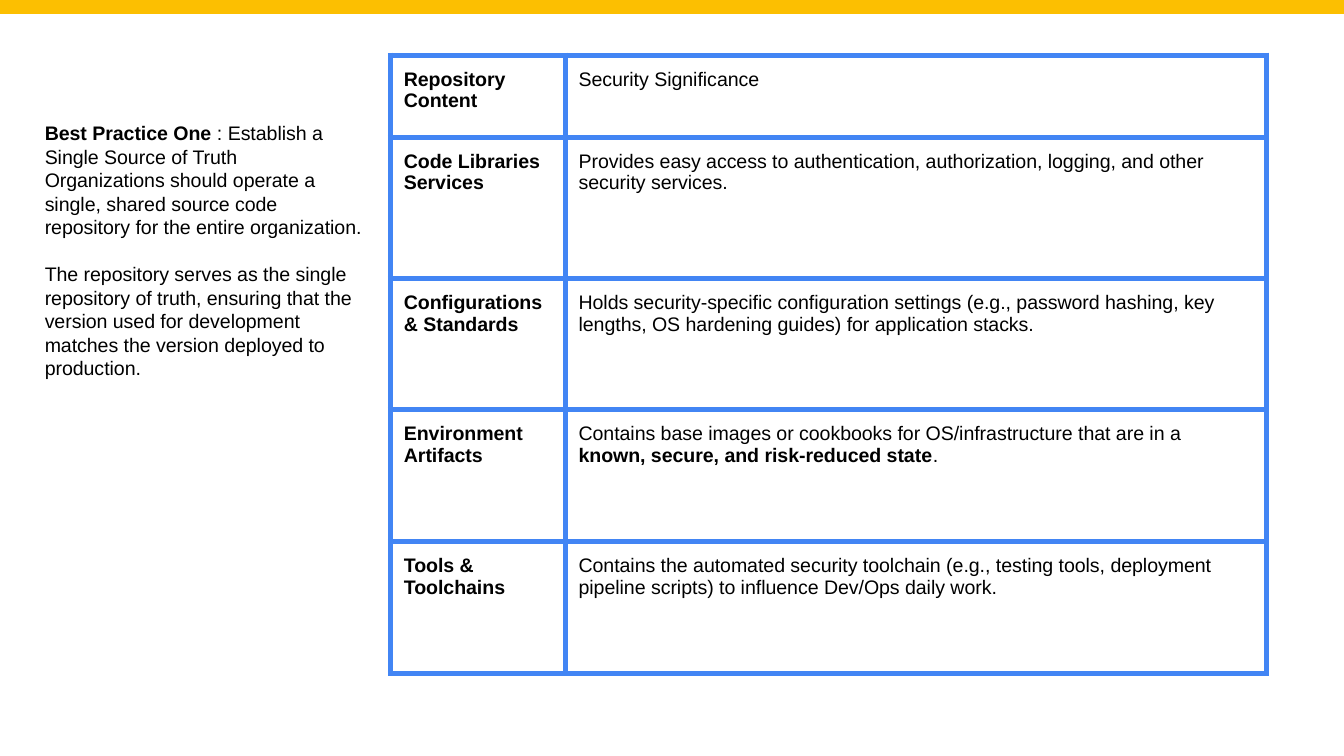
import pptx
import pptx.util
import pptx.dml.color
import pptx.enum.shapes
import pptx.enum.text
import pptx.oxml
import pptx.oxml.ns

RGB = pptx.dml.color.RGBColor
GOLD = RGB(0xFC, 0xBF, 0x01)
BLUE = RGB(0x42, 0x85, 0xF4)
BLACK = RGB(0, 0, 0)
SCALE = 4572  # EMU in one px, 200 px to the inch
PAD = 20
LINE = 35  # height of one line of the side text

COLS = [260, 1043]
ROWS = [122, 210, 196, 196, 196]
# A cell is a list of paragraphs, a paragraph a list of (words, bold) runs.
CELLS = [
    ([[("Repository Content", True)]],
     [[("Security Significance", False)]]),
    ([[("Code Libraries", True)], [("Services", True)]],
     [[("Provides easy access to authentication, authorization, logging, "
        "and other security services.", False)]]),
    ([[("Configurations & Standards", True)]],
     [[("Holds security-specific configuration settings (e.g., password "
        "hashing, key lengths, OS hardening guides) for application stacks.",
        False)]]),
    ([[("Environment Artifacts", True)]],
     [[("Contains base images or cookbooks for OS/infrastructure that are "
        "in a ", False),
       ("known, secure, and risk-reduced state", True), (".", False)]]),
    ([[("Tools & Toolchains", True)]],
     [[("Contains the automated security toolchain (e.g., testing tools, "
        "deployment pipeline scripts) to influence Dev/Ops daily work.",
        False)]]),
]
SIDE = [
    [("Best Practice One ", True),
     (": Establish a Single Source of Truth", False)],
    [("Organizations should operate a single, shared source code repository "
      "for the entire organization.", False)],
    [("The repository serves as the single repository of truth, ensuring "
      "that the version used for development matches the version deployed "
      "to production.", False)],
]


def px(n):
    return pptx.util.Emu(n * SCALE)


def write(frame, paras):
    for i, runs in enumerate(paras):
        para = frame.paragraphs[0] if i == 0 else frame.add_paragraph()
        para.font.name = "Arial"
        para.font.size = pptx.util.Pt(10.5)
        para.font.color.rgb = BLACK
        for words, bold in runs:
            run = para.add_run()
            run.text = words
            run.font.bold = bold


def inset(part):
    part.margin_left = part.margin_right = px(PAD)
    part.margin_top = part.margin_bottom = px(PAD)


def edge(cell):
    """Draw a blue line on all four sides of a cell."""
    props = cell._tc.get_or_add_tcPr()
    for i, side in enumerate("LRTB"):
        line = pptx.oxml.parse_xml(
            f'<a:ln{side} {pptx.oxml.ns.nsdecls("a")} w="{pptx.util.Pt(3)}">'
            f'<a:solidFill><a:srgbClr val="{BLUE}"/></a:solidFill>'
            f'<a:prstDash val="solid"/></a:ln{side}>')
        props.insert(i, line)


def add_bar(slide, x, y, w, h):
    bar = slide.shapes.add_shape(
        pptx.enum.shapes.MSO_SHAPE.RECTANGLE, px(x), px(y), px(w), px(h))
    bar.shadow.inherit = False
    bar.fill.solid()
    bar.fill.fore_color.rgb = GOLD
    bar.line.color.rgb = GOLD
    bar.line.width = pptx.util.Pt(0.75)


def add_grid(slide, x, y):
    grid = slide.shapes.add_table(
        len(ROWS), len(COLS), px(x), px(y), px(sum(COLS)), px(sum(ROWS))).table
    grid.first_row = grid.horz_banding = False
    for col, w in zip(grid.columns, COLS):
        col.width = px(w)
    for row, h, texts in zip(grid.rows, ROWS, CELLS):
        row.height = px(h)
        for cell, paras in zip(row.cells, texts):
            inset(cell)
            cell.fill.background()
            edge(cell)
            write(cell.text_frame, paras)


def add_side(slide, x, y, w, h):
    frame = slide.shapes.add_textbox(px(x), px(y), px(w), px(h)).text_frame
    frame.word_wrap = True
    frame.vertical_anchor = pptx.enum.text.MSO_ANCHOR.MIDDLE
    inset(frame)
    frame.margin_bottom = px(PAD + LINE)
    write(frame, SIDE)
    frame.paragraphs[-1].space_before = px(LINE)


def main():
    deck = pptx.Presentation()
    deck.slide_width, deck.slide_height = px(2000), px(1125)
    slide = deck.slides.add_slide(deck.slide_layouts[6])
    add_bar(slide, 0, 0, 2000, 20)
    add_grid(slide, 581, 82)
    add_side(slide, 47, 58, 520, 664)
    deck.save("out.pptx")


if __name__ == "__main__":
    main()
